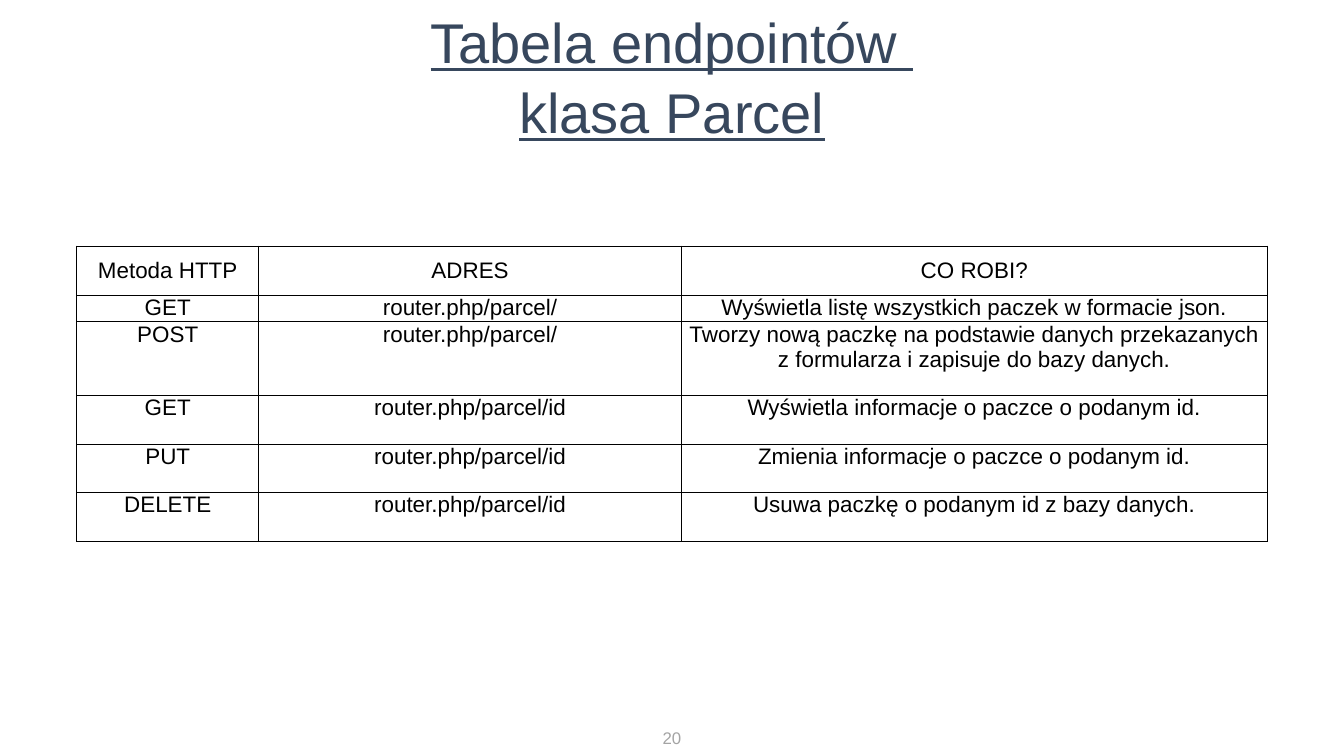
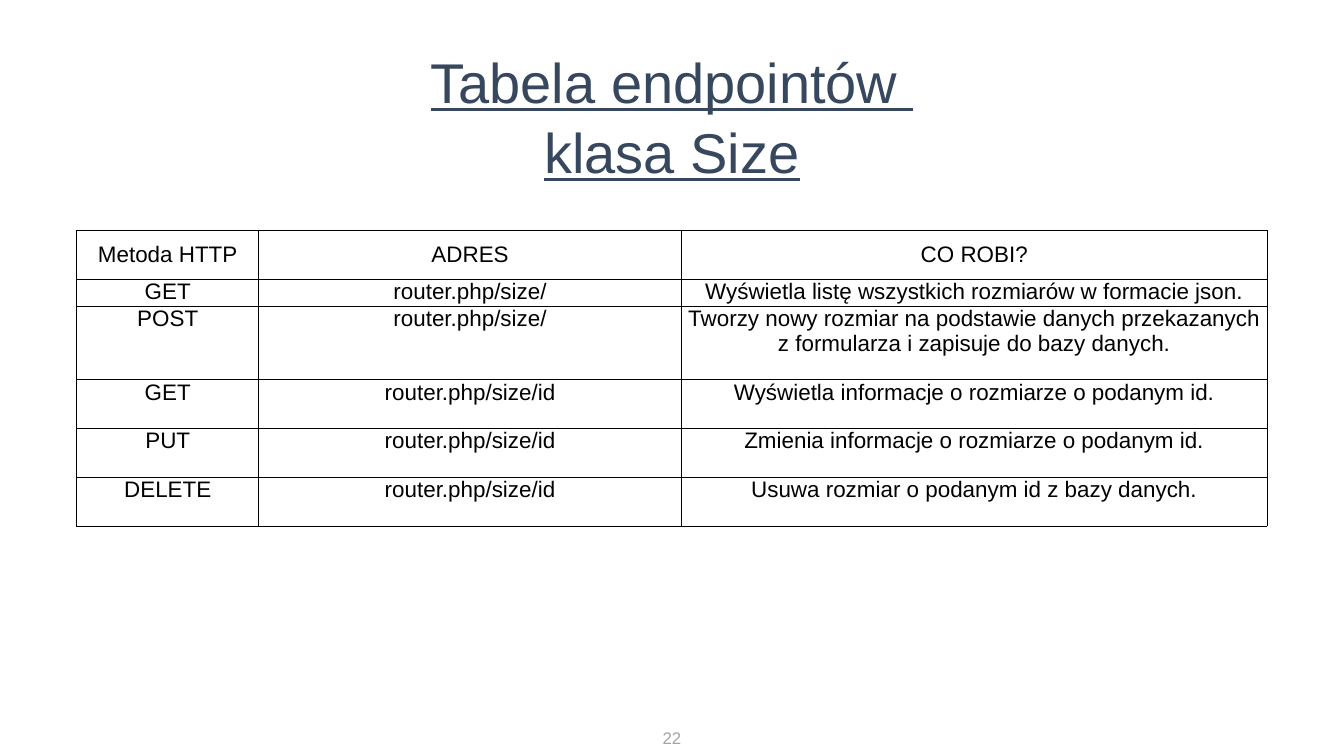
from dataclasses import dataclass

from lxml import etree
from pptx import Presentation
from pptx.dml.color import RGBColor
from pptx.enum.text import MSO_ANCHOR as Anchor, PP_ALIGN as Align
from pptx.oxml.ns import qn
from pptx.slide import Slide
from pptx.table import _Cell as Cell
from pptx.text.text import TextFrame
from pptx.util import Cm, Length, Pt

# Shared look
NAVY, GREY, BLACK = "37475D", "A4A4A4", "000000"
TITLE_FONT = {"name": "Arial", "size": Pt(80), "underline": True}
CELL_FONT = {"name": "Arial", "size": Pt(32)}
NUMBER_FONT = {"name": "Arial", "size": Pt(24)}
SLIDE_WIDTH, SLIDE_HEIGHT = Cm(67.74), Cm(38.1)
CONTENT_LEFT = Cm(3.87)
COLUMN_WIDTHS = (Cm(9.17), Cm(21.31), Cm(29.51))
ROW_UNIT = Cm(1.23)
ROW_UNITS = (2, 1, 3, 2, 2, 2)
HEADINGS = ("Metoda HTTP", "ADRES", "CO ROBI?")
CELL_MARGINS = {"margin_left": Cm(0.18), "margin_right": Cm(0.18),
                "margin_top": 0, "margin_bottom": 0}


@dataclass
class EndpointPage:
    class_name: str
    number: int
    title_top: Length
    table_top: Length
    all_items: str    # noun form after "listę wszystkich"
    new_item: str     # with its adjective
    about_item: str   # noun form after "o"
    one_item: str     # noun form after "Usuwa"

    def rows(self) -> list[tuple[str, str, str]]:
        address = f"router.php/{self.class_name.lower()}/"
        about = f"informacje o {self.about_item} o podanym id."
        return [
            HEADINGS,
            ("GET", address, f"Wyświetla listę wszystkich {self.all_items} w formacie json."),
            ("POST", address, f"Tworzy {self.new_item} na podstawie danych przekazanych "
                              "z formularza i zapisuje do bazy danych."),
            ("GET", address + "id", f"Wyświetla {about}"),
            ("PUT", address + "id", f"Zmienia {about}"),
            ("DELETE", address + "id", f"Usuwa {self.one_item} o podanym id z bazy danych."),
        ]


PAGES = (
    EndpointPage("Parcel", 20, Cm(0), Cm(12.4),
                 "paczek", "nową paczkę", "paczce", "paczkę"),
    EndpointPage("Size", 22, Cm(2.03), Cm(11.63),
                 "rozmiarów", "nowy rozmiar", "rozmiarze", "rozmiar"),
)


def apply(target: object, values: dict) -> None:
    for attribute, value in values.items():
        setattr(target, attribute, value)


def color(hex_value: str) -> RGBColor:
    return RGBColor.from_string(hex_value)


def write(frame: TextFrame, lines: tuple[str, ...], font: dict, hex_value: str) -> None:
    """Write centred lines, joined by line breaks, in one paragraph."""
    paragraph = frame.paragraphs[0]
    paragraph.alignment = Align.CENTER
    for index, line in enumerate(lines):
        if index:
            paragraph.add_line_break()
        run = paragraph.add_run()
        run.text = line
        apply(run.font, font)
        run.font.color.rgb = color(hex_value)


def add_title(slide: Slide, page: EndpointPage) -> None:
    title = slide.shapes.add_textbox(CONTENT_LEFT, page.title_top, Cm(60), Cm(3.45))
    frame = title.text_frame
    apply(frame, {"word_wrap": True, "vertical_anchor": Anchor.TOP, "margin_top": Cm(0.25)})
    write(frame, ("Tabela endpointów ", f"klasa {page.class_name}"), TITLE_FONT, NAVY)
    frame.paragraphs[0].line_spacing = 1.04


def add_page_number(slide: Slide, number: int) -> None:
    width = Cm(1.17)
    box = slide.shapes.add_textbox((SLIDE_WIDTH - width) // 2, Cm(36.68), width, Cm(1.27))
    frame = box.text_frame
    apply(frame, {"word_wrap": False, "margin_left": 0, "margin_right": 0,
                  "margin_top": 0, "margin_bottom": 0})
    write(frame, (str(number),), NUMBER_FONT, GREY)


def add_borders(cell: Cell) -> None:
    properties = cell._tc.get_or_add_tcPr()
    for index, side in enumerate(("lnL", "lnR", "lnT", "lnB")):
        line = etree.Element(qn(f"a:{side}"), w=str(Pt(1)))
        fill = etree.SubElement(line, qn("a:solidFill"))
        etree.SubElement(fill, qn("a:srgbClr"), val=BLACK)
        properties.insert(index, line)


def add_endpoint_table(slide: Slide, page: EndpointPage) -> None:
    rows = page.rows()
    table = slide.shapes.add_table(
        len(rows), len(COLUMN_WIDTHS), CONTENT_LEFT, page.table_top,
        sum(COLUMN_WIDTHS), ROW_UNIT * sum(ROW_UNITS)).table
    apply(table, {"first_row": False, "horz_banding": False})
    for column, width in zip(table.columns, COLUMN_WIDTHS):
        column.width = width
    for row_index, (row, units) in enumerate(zip(rows, ROW_UNITS)):
        table.rows[row_index].height = ROW_UNIT * units
        for column_index, text in enumerate(row):
            cell = table.cell(row_index, column_index)
            apply(cell, CELL_MARGINS)
            cell.vertical_anchor = Anchor.TOP if row_index else Anchor.MIDDLE
            cell.fill.background()
            add_borders(cell)
            write(cell.text_frame, (text,), CELL_FONT, BLACK)


def main() -> None:
    deck = Presentation()
    apply(deck, {"slide_width": SLIDE_WIDTH, "slide_height": SLIDE_HEIGHT})
    for page in PAGES:
        slide = deck.slides.add_slide(deck.slide_layouts[6])
        add_page_number(slide, page.number)
        add_title(slide, page)
        add_endpoint_table(slide, page)
    deck.save("out.pptx")


if __name__ == "__main__":
    main()
